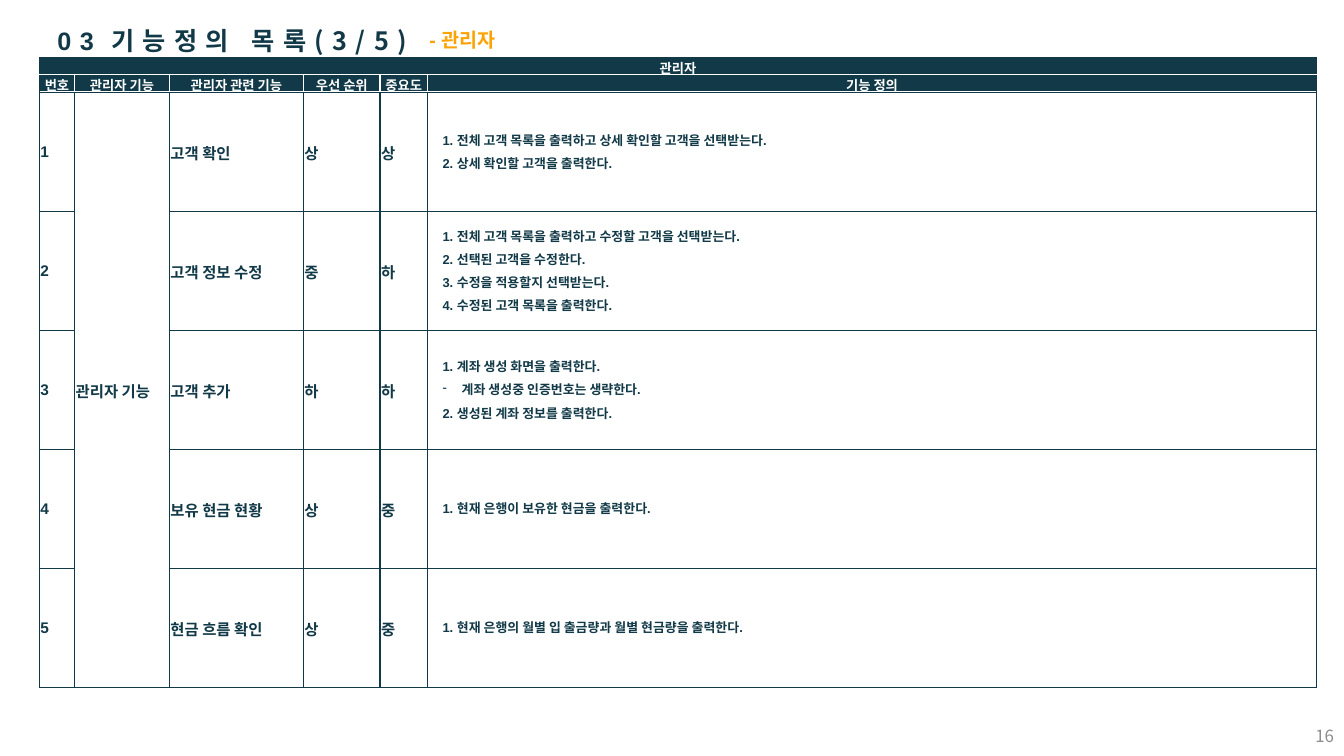
from lxml import etree
from pptx import Presentation
from pptx import util as u
from pptx.dml.color import RGBColor
from pptx.enum import text
from pptx.oxml import ns

COLORS = {"navy": "113947", "gold": "FBA305", "white": "FFFFFF", "gray": "8C8C8C"}
KOREAN = "Noto Sans CJK KR"
TITLE = [("03", 18, "Arial"), (" ", 1, KOREAN), ("기능정의 목록(3/5)", 18, KOREAN)]
GROUP = "관리자"
HEADS = ["번호", "관리자 기능", "관리자 관련 기능", "우선 순위", "중요도", "기능 정의"]
ROWS = [
    ("고객 확인", "상", "상", ["1. 전체 고객 목록을 출력하고 상세 확인할 고객을 선택받는다.",
                           "2. 상세 확인할 고객을 출력한다."]),
    ("고객 정보 수정", "중", "하", ["1. 전체 고객 목록을 출력하고 수정할 고객을 선택받는다.",
                              "2. 선택된 고객을 수정한다.",
                              "3. 수정을 적용할지 선택받는다.",
                              "4. 수정된 고객 목록을 출력한다."]),
    ("고객 추가", "하", "하", ["1. 계좌 생성 화면을 출력한다.",
                           ("-", "계좌 생성중 인증번호는 생략한다."),
                           "2. 생성된 계좌 정보를 출력한다."]),
    ("보유 현금 현황", "상", "중", ["1. 현재 은행이 보유한 현금을 출력한다."]),
    ("현금 흐름 확인", "상", "중", ["1. 현재 은행의 월별 입 출금량과 월별 현금량을 출력한다."]),
]
WIDTHS = [0.35, 0.94, 1.33, 0.76, 0.47, 8.82]
HEIGHTS = [0.15, 0.18] + [1.18] * len(ROWS)
ALIGN = text.PP_ALIGN


def write(para, words, size=11, color="navy", font="Arial", bold=True,
          align=ALIGN.LEFT, line=None, space=None, bullet=None):
    if bullet:
        props = para._p.get_or_add_pPr()
        props.set("marL", str(u.Inches(0.19)))
        props.set("indent", str(u.Inches(-0.19)))
        etree.SubElement(props, ns.qn("a:buChar"), char=bullet)
    para.alignment = align
    if line:
        para.line_spacing = line
    run = para.add_run()
    run.text = words
    run.font.size = u.Pt(size)
    run.font.bold = bold
    run.font.color.rgb = RGBColor.from_string(COLORS[color])
    run.font.name = font
    props = run._r.get_or_add_rPr()
    etree.SubElement(props, ns.qn("a:ea"), typeface=KOREAN)
    if space:
        props.set("spc", str(space * 100))


def add_box(slide, left, top, width, height):
    box = slide.shapes.add_textbox(*map(u.Inches, (left, top, width, height)))
    box.text_frame.word_wrap = True
    return box.text_frame


def set_edges(cell, **edges):
    props = cell._tc.get_or_add_tcPr()
    for spot, side in enumerate("LRTB"):
        line = etree.Element(ns.qn("a:ln" + side), w=str(u.Pt(1)))
        fill = etree.SubElement(line, ns.qn("a:solidFill"))
        etree.SubElement(fill, ns.qn("a:srgbClr"), val=COLORS[edges.get(side, "navy")])
        props.insert(spot, line)


def set_fill(cell, row):
    if row > 1:
        cell.fill.background()
    elif row == 0:
        cell.fill.solid()
        cell.fill.fore_color.rgb = RGBColor.from_string(COLORS["navy"])
    else:
        cell.fill.gradient()
        cell.fill.gradient_angle = 270
        for stop, name in zip(cell.fill.gradient_stops, ("navy", "white")):
            stop.position = 0.93
            stop.color.rgb = RGBColor.from_string(COLORS[name])


def set_pad(cell, left, top, right, bottom):
    cell.margin_left, cell.margin_top = u.Inches(left), u.Inches(top)
    cell.margin_right, cell.margin_bottom = u.Inches(right), u.Inches(bottom)


def add_grid(slide):
    frame = slide.shapes.add_table(len(HEIGHTS), len(WIDTHS), *map(
        u.Inches, (0.39, 0.57, sum(WIDTHS), sum(HEIGHTS))))
    grid = frame.table
    grid.first_row = grid.horz_banding = False
    for col, width in zip(grid.columns, WIDTHS):
        col.width = u.Inches(width)
    for row, height in zip(grid.rows, HEIGHTS):
        row.height = u.Inches(height)
    last = len(WIDTHS) - 1
    grid.cell(0, 0).merge(grid.cell(0, last))
    grid.cell(2, 1).merge(grid.cell(len(HEIGHTS) - 1, 1))

    lines = [[GROUP] + [""] * last, HEADS]
    for num, (name, rank, weight, steps) in enumerate(ROWS, 1):
        lines.append([str(num), HEADS[1] if num == 1 else "", name, rank, weight, steps])
    for r, line in enumerate(lines):
        for c, value in enumerate(line):
            cell = grid.cell(r, c)
            cell.vertical_anchor = text.MSO_ANCHOR.MIDDLE
            set_pad(cell, 0.01, 0.01, 0.01, 0)
            set_fill(cell, r)
            edges = {}
            if r == 0:
                edges = {"B": "white"}
            elif r == 1:
                edges = {"T": "white", "L": "white" if c else "navy",
                         "R": "white" if c < last else "navy"}
            set_edges(cell, **edges)
            body = cell.text_frame
            if isinstance(value, list):
                set_pad(cell, 0.15, 0, 0.15, 0.06)
                for spot, step in enumerate(value):
                    para = body.add_paragraph() if spot else body.paragraphs[0]
                    mark, words = step if isinstance(step, tuple) else (None, step)
                    write(para, words, size=9.2, line=1.25, bullet=mark)
            elif value and r < 2:
                write(body.paragraphs[0], value, size=9.5, color="white", align=ALIGN.CENTER)
            elif value:
                write(body.paragraphs[0], value)


def main():
    deck = Presentation()
    deck.slide_width, deck.slide_height = u.Inches(13.33), u.Inches(7.5)
    slide = deck.slides.add_slide(deck.slide_layouts[5])
    title = slide.shapes.title
    title.left, title.top = u.Inches(0.47), u.Inches(0.2)
    title.width, title.height = u.Inches(3.87), u.Inches(0.4)
    body = title.text_frame
    body.word_wrap = False
    body.auto_size = text.MSO_AUTO_SIZE.NONE
    body.vertical_anchor = text.MSO_ANCHOR.TOP
    for words, size, font in TITLE:
        write(body.paragraphs[0], words, size=size, font=font, space=6)

    part = add_box(slide, 4.16, 0.23, 2.2, 0.34)
    write(part.paragraphs[0], "- " + GROUP, size=14, color="gold")
    add_grid(slide)
    page = add_box(slide, 10.33, 7.1, 3, 0.4)
    page.vertical_anchor = text.MSO_ANCHOR.MIDDLE
    write(page.paragraphs[0], "16", size=12, color="gray", font=KOREAN,
          bold=False, align=ALIGN.RIGHT)
    deck.save("out.pptx")


if __name__ == "__main__":
    main()
